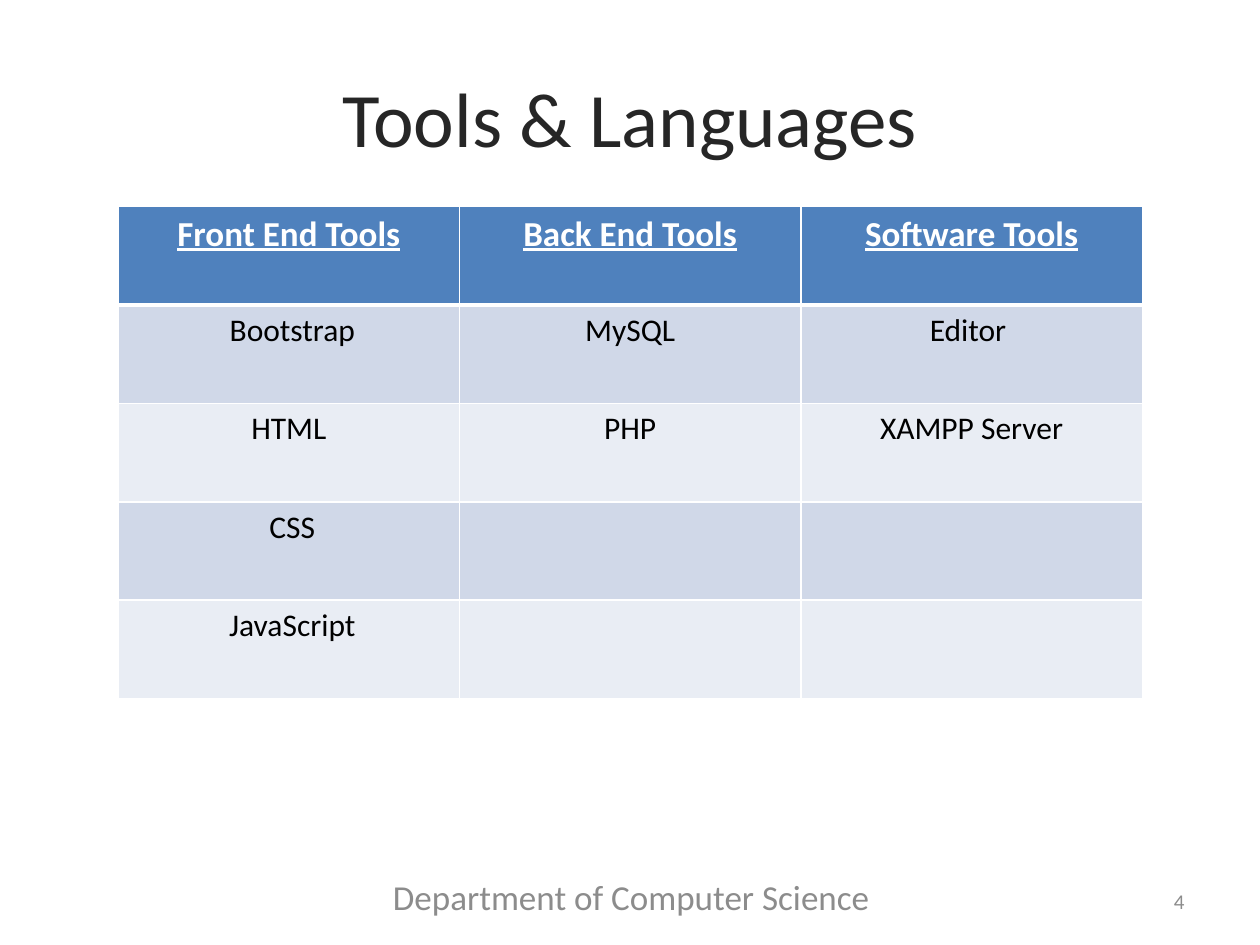
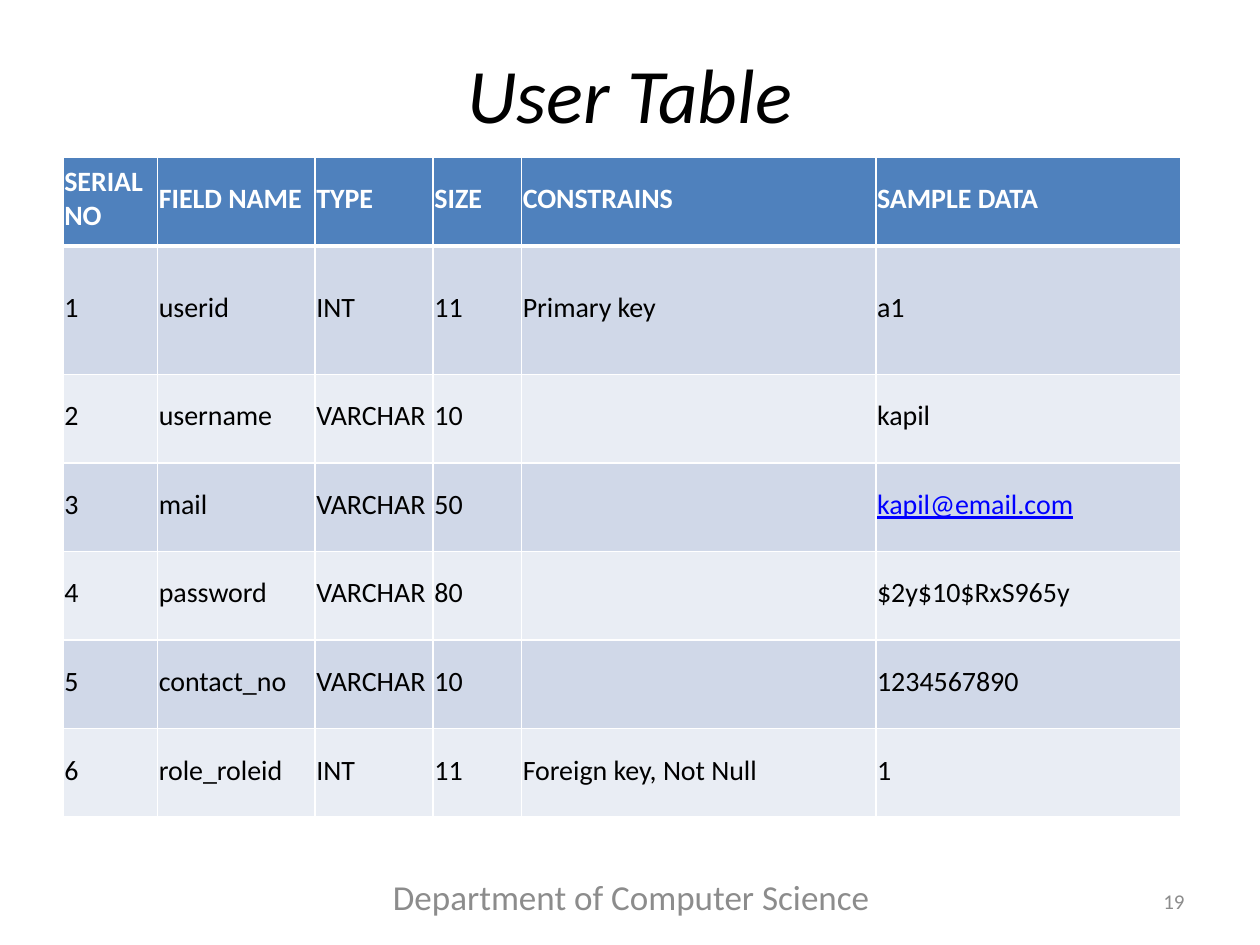
"""Build two table slides for a computer science project deck."""
from lxml import etree
from pptx import Presentation, util as u
from pptx.dml.color import RGBColor
from pptx.enum import text
from pptx.oxml.ns import qn

HUES = {"head": "4F81BD", "odd": "D0D8E8", "even": "E9EDF4", "line": "FFFFFF",
        "white": "FFFFFF", "black": "000000", "dark": "262626",
        "grey": "8C8C8C", "link": "0000FF"}
FACE = "Calibri"
FOOT = "Department of Computer Science "
MID, TOP = text.MSO_ANCHOR.MIDDLE, text.MSO_ANCHOR.TOP
LEFT, MIDST, RIGHT = text.PP_ALIGN.LEFT, text.PP_ALIGN.CENTER, text.PP_ALIGN.RIGHT

SLIDES = [
    {"title": "Tools & Languages", "high": 90, "look": {"hue": "dark"}, "page": "4",
     "at": (67.5, 118), "cols": [195.1] * 3, "rows": [56.25] * 5,
     "head": {"size": 20, "underline": True}, "body": {"size": 18},
     "align": MIDST, "cell": {"vertical_anchor": TOP},
     "cells": [
         ("Front End Tools", "Back End Tools", "Software Tools"),
         (" Bootstrap", "MySQL", "Editor "),
         ("HTML", "PHP", "XAMPP Server"),
         (" CSS", "", ""),
         (" JavaScript", "", "")]},
    {"title": "User Table", "high": 62.6, "look": {"hue": "black", "italic": True},
     "page": "19", "at": (36, 90), "cols": [54, 90, 67.5, 50.5, 202.5, 174],
     "rows": [50.6, 73.4] + [50.6] * 5,
     "head": {"size": 16}, "body": {"size": 16}, "align": LEFT,
     "cell": {"vertical_anchor": MID, "margin_left": u.Pt(0.75),
              "margin_right": u.Pt(0.75), "margin_top": u.Pt(0.75)},
     "cells": [
         ("SERIAL NO", "FIELD NAME", "TYPE", "SIZE", "CONSTRAINS", "SAMPLE DATA"),
         ("1", "userid", "INT", "11", "Primary key", "a1"),
         ("2", "username", "VARCHAR", "10", "", "kapil"),
         ("3", "mail", "VARCHAR", "50", "", "kapil@email.com"),
         ("4", "password", "VARCHAR", "80", "", "$2y$10$RxS965y"),
         ("5", "contact_no", "VARCHAR", "10", "", "1234567890"),
         ("6", "role_roleid", "INT", "11", "Foreign key, Not Null", "1")]},
]


def put(obj, vals):
    for key, val in vals.items():
        setattr(obj, key, val)


def write(frame, words, align, size, hue, **look):
    para = frame.paragraphs[0]
    para.alignment = align
    font = para.font
    if words:
        run = para.add_run()
        run.text = words
        font = run.font
    put(font, {"name": FACE, "size": u.Pt(size), **look})
    font.color.rgb = RGBColor.from_string(HUES[hue])


def label(slide, box, *args, **look):
    frame = slide.shapes.add_textbox(*map(u.Pt, box)).text_frame
    put(frame, {"word_wrap": True, "vertical_anchor": MID})
    write(frame, *args, **look)


def rule(cell, row):
    props = cell._tc.get_or_add_tcPr()
    wide = {"T": 3 if row == 1 else 1, "B": 3 if row == 0 else 1}
    for spot, side in enumerate("LRTB"):
        line = etree.Element(qn(f"a:ln{side}"), w=str(u.Pt(wide.get(side, 1))))
        fill = etree.SubElement(line, qn("a:solidFill"))
        etree.SubElement(fill, qn("a:srgbClr"), val=HUES["line"])
        props.insert(spot, line)


def grid(slide, data):
    cols, rows = data["cols"], data["rows"]
    box = (*data["at"], sum(cols), sum(rows))
    table = slide.shapes.add_table(len(rows), len(cols), *map(u.Pt, box)).table
    for col, wide in zip(table.columns, cols):
        col.width = u.Pt(wide)
    for r, (high, line) in enumerate(zip(rows, data["cells"])):
        table.rows[r].height = u.Pt(high)
        band = "head" if r == 0 else "odd" if r % 2 else "even"
        for c, words in enumerate(line):
            cell = table.cell(r, c)
            put(cell, data["cell"])
            cell.fill.solid()
            cell.fill.fore_color.rgb = RGBColor.from_string(HUES[band])
            rule(cell, r)
            if r == 0:
                look = {"hue": "white", "bold": True, **data["head"]}
            else:
                look = {"hue": "black", "bold": False, **data["body"]}
            if "@" in words:
                look.update(hue="link", underline=True)
            write(cell.text_frame, words, data["align"], **look)


def main():
    deck = Presentation()
    put(deck, {"slide_width": u.Pt(720), "slide_height": u.Pt(540)})
    for data in SLIDES:
        slide = deck.slides.add_slide(deck.slide_layouts[6])
        label(slide, (36, 21.6, 648, data["high"]), data["title"], MIDST, 44,
              **data["look"])
        label(slide, (204, 498, 318, 28.75), FOOT, MIDST, 20, "grey")
        label(slide, (516, 500.5, 168, 28.75), data["page"], RIGHT, 12, "grey")
        grid(slide, data)
    deck.save("out.pptx")


if __name__ == "__main__":
    main()
